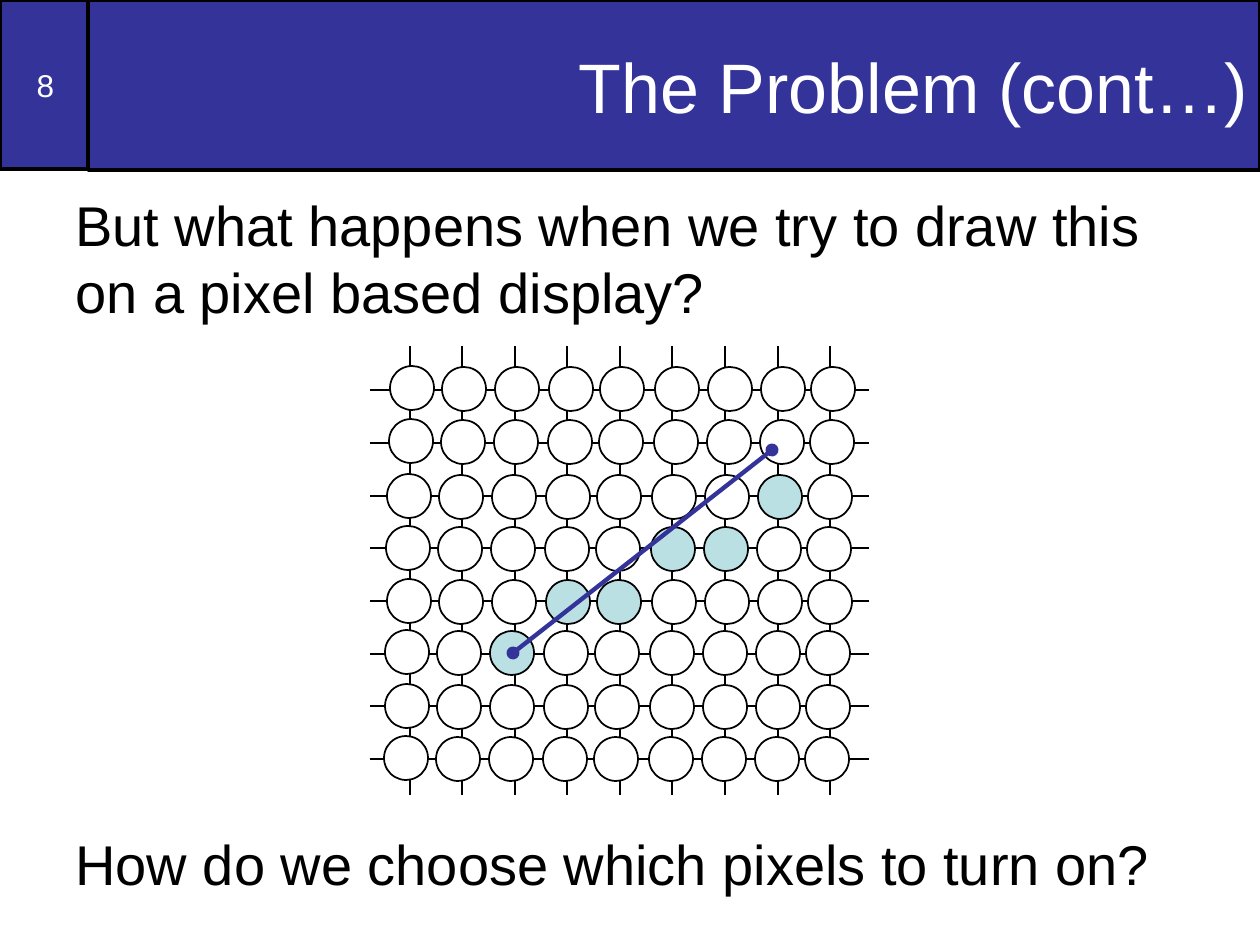
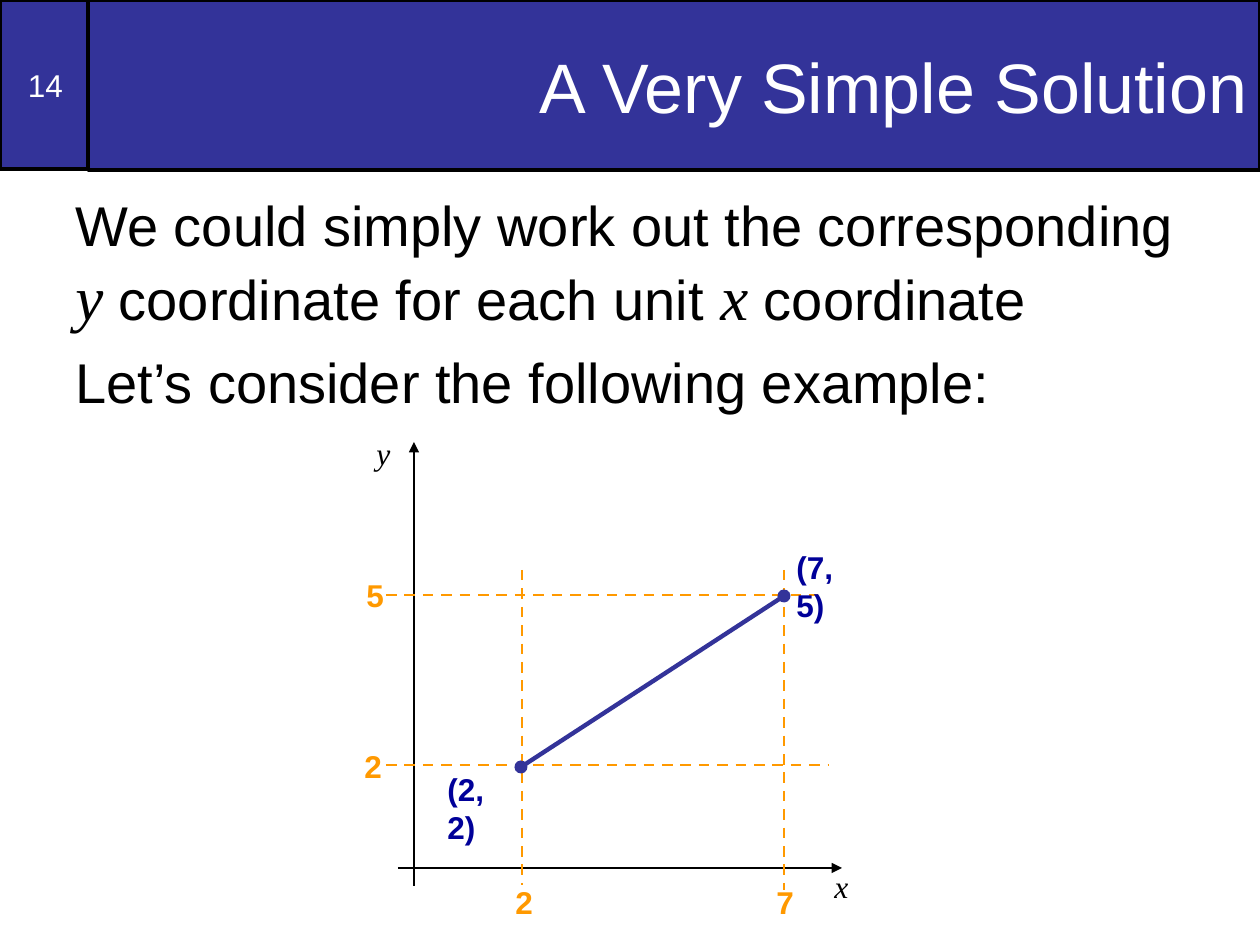
"""Build two slides on drawing a line with pixels."""
from lxml import etree
from pptx import Presentation
from pptx.dml.color import RGBColor
from pptx.enum.dml import MSO_LINE
from pptx.enum.shapes import MSO_CONNECTOR, MSO_SHAPE
from pptx.enum.text import MSO_ANCHOR, PP_ALIGN
from pptx.oxml.ns import qn
from pptx.util import Pt

PX = 914400 / 126
BLACK = RGBColor(0x00, 0x00, 0x00)
WHITE = RGBColor(0xFF, 0xFF, 0xFF)
BLUE = RGBColor(0x33, 0x33, 0x99)
NAVY = RGBColor(0x00, 0x00, 0x99)
ORANGE = RGBColor(0xFF, 0x99, 0x00)
AQUA = RGBColor(0xBB, 0xE0, 0xE3)

TITLE = {"size": Pt(40), "name": "Arial", "color": WHITE}
NUMBER = {"size": Pt(18), "name": "Arial", "color": WHITE}
BODY = {"size": Pt(32), "name": "Arial", "color": BLACK}
VARIABLE = {"size": Pt(36), "name": "Times New Roman", "color": BLACK, "italic": True}
AXIS = {**VARIABLE, "size": Pt(18)}
POINT = {"size": Pt(18), "name": "Arial", "color": NAVY, "bold": True}
TICK = {**POINT, "color": ORANGE}


def write(tf, paragraphs, **layout):
    for i, runs in enumerate(paragraphs):
        p = tf.paragraphs[0] if i == 0 else tf.add_paragraph()
        for key, value in layout.items():
            setattr(p, key, value)
        for text, fmt in runs:
            r = p.add_run()
            r.text = text
            for key, value in fmt.items():
                if key == "color":
                    r.font.color.rgb = value
                else:
                    setattr(r.font, key, value)


def add_line(s, ends, color=BLACK, width=1, dash=None, head=None, tail=None):
    c = s.shapes.add_connector(MSO_CONNECTOR.STRAIGHT, *(round(v * PX) for v in ends))
    c.line.color.rgb = color
    c.line.width = Pt(width)
    if dash:
        c.line.dash_style = dash
    ln = c.line._get_or_add_ln()
    for tag, kind in (("a:headEnd", head), ("a:tailEnd", tail)):
        if kind:
            etree.SubElement(ln, qn(tag), type=kind)
    etree.SubElement(c._element.spPr, qn("a:effectLst"))


prs = Presentation()
prs.slide_width, prs.slide_height = round(1260 * PX), round(945 * PX)

slides = []
for number, title in (("8", "The Problem (cont…)"), ("14", "A Very Simple Solution")):
    s = prs.slides.add_slide(prs.slide_layouts[5])
    slides.append(s)
    box = s.shapes.add_shape(MSO_SHAPE.RECTANGLE, 0, 0, round(91 * PX), round(169 * PX))
    box.shadow.inherit = False
    s.shapes._spTree.insert(2, box._element)
    band = s.shapes.title
    band.left, band.top, band.width, band.height = (round(v * PX) for v in (88, 0, 1172, 170))
    for sp in (box, band):
        sp.fill.solid()
        sp.fill.fore_color.rgb = BLUE
        sp.line.color.rgb = BLACK
        sp.line.width = Pt(2)
        sp.text_frame.vertical_anchor = MSO_ANCHOR.MIDDLE
    write(box.text_frame, [[(number, NUMBER)]], alignment=PP_ALIGN.CENTER, space_before=Pt(11.2))
    write(band.text_frame, [[(title, TITLE)]], alignment=PP_ALIGN.RIGHT)

problem, solution = slides
body_texts = [
    (problem, 184, 163, [[("But what happens when we try to draw this on a pixel based display?", BODY)]]),
    (problem, 823, 96, [[("How do we choose which pixels to turn on?", BODY)]]),
    (solution, 184, 761, [
        [("We could simply work out the corresponding ", BODY), ("y", VARIABLE),
         (" coordinate for each unit ", BODY), ("x", VARIABLE), (" coordinate", BODY)],
        [("Let’s consider the following example:", BODY)],
    ]),
]
for s, top, height, paragraphs in body_texts:
    tf = s.shapes.add_textbox(*(round(v * PX) for v in (63, top, 1134, height))).text_frame
    tf.word_wrap = True
    write(tf, paragraphs, space_before=Pt(8))

COL_LEFTS = (390, 442, 495, 549, 600, 655, 708, 761, 811)
ROW_TOPS = (367, 420, 475, 527, 580, 631, 685, 737)
ROW_SHIFTS = (0, -1, -3, -4, -3, -5, -5, -6)
LIT = {(2, 7), (3, 5), (3, 6), (4, 3), (4, 4), (5, 2)}
PITCH = 52.6

for col in range(len(COL_LEFTS)):
    x = round(409.5 + PITCH * col)
    add_line(problem, (x, 795, x, 346))
for row in range(len(ROW_TOPS)):
    y = round(390.5 + PITCH * row)
    add_line(problem, (370, y, 869, y))
for row, (top, shift) in enumerate(zip(ROW_TOPS, ROW_SHIFTS)):
    for col, left in enumerate(COL_LEFTS):
        y = top - 1 if col == 0 else top
        pixel = problem.shapes.add_shape(
            MSO_SHAPE.OVAL, *(round(v * PX) for v in (left + shift, y, 44, 44)))
        pixel.shadow.inherit = False
        pixel.fill.solid()
        pixel.fill.fore_color.rgb = AQUA if (row, col) in LIT else WHITE
        pixel.line.color.rgb = BLACK
        pixel.line.width = Pt(1)
add_line(problem, (513, 653, 772, 450), BLUE, 2.5, head="oval", tail="oval")

for axis in ((414, 886, 414, 442), (398, 868, 842, 868)):
    add_line(solution, axis, tail="triangle")
for guide in ((386, 765, 829, 765), (386, 595, 818, 595), (522, 570, 522, 885), (784, 570, 784, 890)):
    add_line(solution, guide, ORANGE, 1.5, MSO_LINE.DASH)
add_line(solution, (521, 767, 784, 596), BLUE, 2.5, head="oval", tail="oval")

labels = [
    ("x", 822, 861, 39, AXIS), ("y", 364, 428, 39, AXIS),
    ("(2, 2)", 435, 764, 98, POINT), ("(7, 5)", 784, 542, 98, POINT),
    ("2", 503, 877, 43, TICK), ("7", 764, 877, 43, TICK),
    ("2", 352, 741, 43, TICK), ("5", 354, 570, 43, TICK),
]
for text, left, top, width, fmt in labels:
    tf = solution.shapes.add_textbox(*(round(v * PX) for v in (left, top, width, 50))).text_frame
    tf.word_wrap = False
    write(tf, [[(text, fmt)]])

prs.save("out.pptx")
